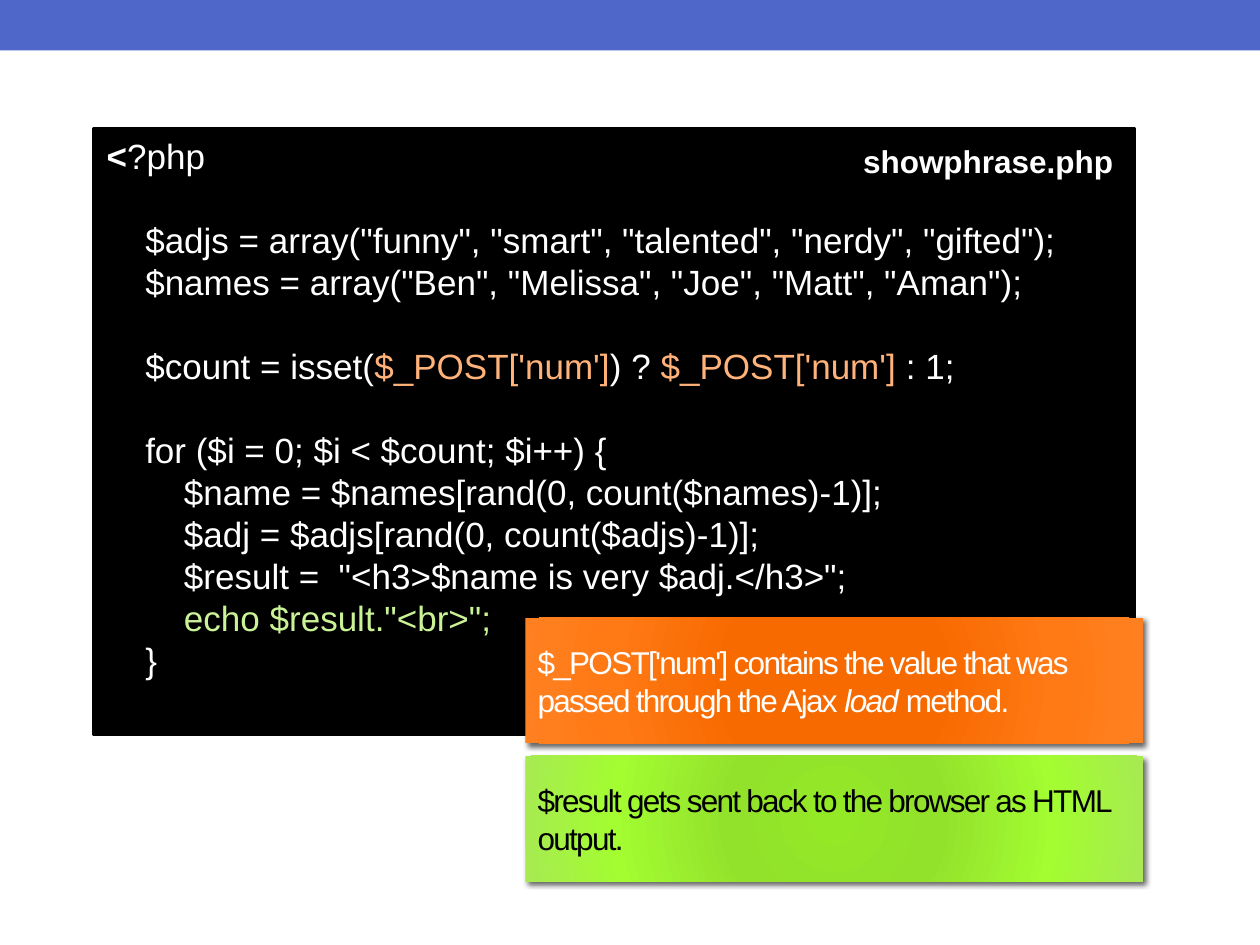
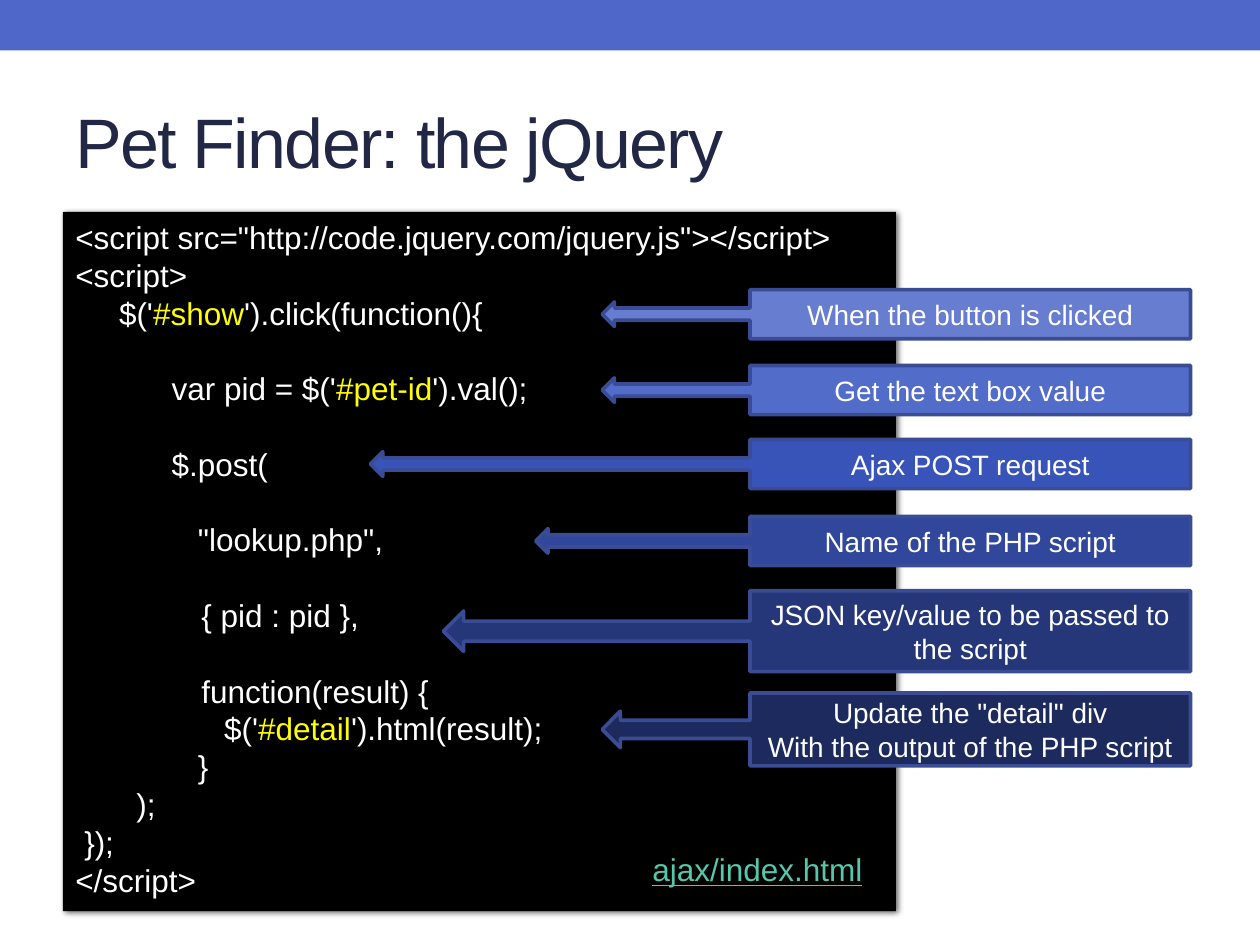
import pptx
import pptx.util
import pptx.dml.color
import pptx.enum.shapes
import pptx.enum.text
import pptx.oxml
import pptx.oxml.ns
from dataclasses import dataclass

Cm, Pt = pptx.util.Cm, pptx.util.Pt
RGB = pptx.dml.color.RGBColor.from_string
ALIGN = pptx.enum.text.PP_ALIGN
ANCHOR = pptx.enum.text.MSO_ANCHOR
SHAPE = pptx.enum.shapes.MSO_SHAPE
NS = pptx.oxml.ns.nsdecls("a")


@dataclass(frozen=True)
class Theme:
    font: str = "Arial"
    band: str = "4E67C8"
    title: str = "212745"
    black: str = "000000"
    white: str = "FFFFFF"
    post: str = "FFB37A"
    echo: str = "CAF297"
    selector: str = "FFFF00"
    link: str = "56C7AA"
    callout_line: str = "3A4C94"
    orange: tuple = ("F76A00", "F76A00", "FF7914", "FF8021")
    green: tuple = ("93E926", "92E22C", "A3FD31", "A7EA52")
    title_size: int = 40
    large_code: int = 20
    body: int = 18
    callout: int = 16
    code_pitch: float = 1.2
    border: float = 2.08


THEME = Theme()


def write(frame, lines, size, color=THEME.white, pitch=None, align=ALIGN.LEFT, tracking=0):
    """Fill a frame with (indent in cm, blank lines above, runs); a run is (text, font settings)."""
    frame.word_wrap = True
    for number, (indent, blanks, runs) in enumerate(lines):
        paragraph = frame.paragraphs[0] if number == 0 else frame.add_paragraph()
        paragraph.alignment = align
        if pitch:
            paragraph.line_spacing = Pt(size * pitch)
            paragraph.space_before = Pt(blanks * size * pitch)
        if indent:
            properties = paragraph._p.get_or_add_pPr()
            properties.set("marL", str(Cm(indent)))
            properties.set("indent", "0")
        for text, settings in runs:
            run = paragraph.add_run()
            run.text = text
            font = run.font
            font.name, font.size = THEME.font, Pt(size)
            font.color.rgb = RGB(settings.get("color", color))
            font.bold = settings.get("bold", False)
            font.italic = settings.get("italic", False)
            font.underline = settings.get("underline", False)
            if tracking:
                run._r.get_or_add_rPr().set("spc", str(tracking * 100))


def add_block(shapes, kind, left, top, width, height, fill, line=None, shadow=False):
    """Add a filled shape, placed in cm; a tuple of four colours gives a radial gradient."""
    block = shapes.add_shape(kind, Cm(left), Cm(top), Cm(width), Cm(height))
    block.shadow.inherit = False
    block.fill.solid()
    properties = block._element.spPr
    if isinstance(fill, tuple):
        stops = "".join(
            f'<a:gs pos="{place * 1000}"><a:srgbClr val="{tone}"/></a:gs>'
            for place, tone in zip((0, 34, 70, 100), fill))
        gradient = pptx.oxml.parse_xml(
            f'<a:gradFill {NS} rotWithShape="1"><a:gsLst>{stops}</a:gsLst><a:path path="circle">'
            '<a:fillToRect l="100000" t="100000" r="100000" b="100000"/></a:path></a:gradFill>')
        properties.replace(properties.find(pptx.oxml.ns.qn("a:solidFill")), gradient)
    else:
        block.fill.fore_color.rgb = RGB(fill)
    if line:
        block.line.color.rgb = RGB(line)
        block.line.width = Pt(THEME.border)
    else:
        block.line.fill.background()
    if shadow:
        properties.find(pptx.oxml.ns.qn("a:effectLst")).append(pptx.oxml.parse_xml(
            f'<a:outerShdw {NS} blurRad="{Pt(3)}" dist="{Pt(2)}" dir="2700000" rotWithShape="0">'
            '<a:srgbClr val="000000"><a:alpha val="60000"/></a:srgbClr></a:outerShdw>'))
    block.text_frame.vertical_anchor = ANCHOR.MIDDLE
    return block


prs = pptx.Presentation()
prs.slide_width, prs.slide_height = Cm(25.4), Cm(19.05)
php_slide = prs.slides.add_slide(prs.slide_layouts[6])
jquery_slide = prs.slides.add_slide(prs.slide_layouts[5])

# The top band belongs to the master, behind everything else
band = add_block(php_slide.shapes, SHAPE.RECTANGLE, 0, 0, 25.4, 1.02, THEME.band)
band._element.nvSpPr.cNvPr.set("id", "20")
prs.slide_master.shapes.element.insert(2, band._element)

# Slide 1: the PHP script
post = {"color": THEME.post}
STEP = 0.78
php_lines = [
    (0, 0, [("<", {"bold": True}), ("?php", {})]),
    (STEP, 1, [('$adjs = array("funny", "smart", "talented", "nerdy", "gifted");', {})]),
    (STEP, 0, [('$names = array("Ben", "Melissa", "Joe", "Matt", "Aman");', {})]),
    (STEP, 1, [("$count = isset(", {}), ("$_POST['num']", post), (") ? ", {}),
               ("$_POST['num'] ", post), (": 1;", {})]),
    (STEP, 1, [("for ($i = 0; $i < $count; $i++) {", {})]),
    (2 * STEP, 0, [("$name = $names[rand(0, count($names)-1)];", {})]),
    (2 * STEP, 0, [("$adj = $adjs[rand(0, count($adjs)-1)];", {})]),
    (2 * STEP, 0, [('$result =  "<h3>$name is very $adj.</h3>";', {})]),
    (2 * STEP, 0, [('echo $result."<br>";', {"color": THEME.echo})]),
    (STEP, 0, [("}", {})]),
]
php_code = add_block(php_slide.shapes, SHAPE.RECTANGLE, 1.9, 2.59, 20.96, 12.22,
                     THEME.black, THEME.black)
php_code.text_frame.vertical_anchor = ANCHOR.TOP
write(php_code.text_frame, php_lines, THEME.large_code, pitch=THEME.code_pitch)

file_name = php_slide.shapes.add_textbox(Cm(17.15), Cm(2.74), Cm(5.61), Cm(1.02))
write(file_name.text_frame, [(0, 0, [("showphrase.php", {"bold": True})])], THEME.body)
file_name.text_frame.word_wrap = False

remarks = [
    (15.24, THEME.green, THEME.black,
     [("$result gets sent back to the browser as HTML output.", {})]),
    (12.45, THEME.orange, THEME.white,
     [("$_POST['num'] contains the value that was passed through the Ajax ", {}),
      ("load", {"italic": True}), (" method.", {})]),
]
for top, gradient, ink, runs in remarks:
    remark = add_block(php_slide.shapes, SHAPE.RECTANGLE, 10.59, top, 12.45, 2.54,
                       gradient, shadow=True)
    write(remark.text_frame, [(0, 0, runs)], THEME.body, ink, tracking=-1)

# Slide 2: the jQuery script
heading = jquery_slide.shapes.title
heading.left, heading.top, heading.width, heading.height = Cm(1.27), Cm(1.47), Cm(22.86), Cm(2.74)
heading.text_frame.vertical_anchor = ANCHOR.MIDDLE
write(heading.text_frame, [(0, 0, [("Pet Finder: the jQuery", {})])],
      THEME.title_size, THEME.title, tracking=-1)

selector = {"color": THEME.selector}
jquery_lines = [
    (0, 0, [('<script src="http://code.jquery.com/jquery.js"></script>', {})]),
    (0, 0, [("<script>", {})]),
    (0.88, 0, [("$('", {}), ("#show", selector), ("').click(function(){", {})]),
    (1.94, 1, [("var pid = $('", {}), ("#pet-id", selector), ("').val();", {})]),
    (1.94, 1, [("$.post(", {})]),
    (2.47, 1, [('"lookup.php",', {})]),
    (2.54, 1, [("{ pid : pid },", {})]),
    (2.54, 1, [("function(result) {", {})]),
    (3, 0, [("$('", {}), ("#detail", selector), ("').html(result);", {})]),
    (2.47, 0, [("}", {})]),
    (1.23, 0, [(");", {})]),
    (0.18, 0, [("});", {})]),
    (0, 0, [("</script>", {})]),
]
jquery_code = add_block(jquery_slide.shapes, SHAPE.RECTANGLE, 1.27, 4.27, 16.79, 14.1,
                        THEME.black, shadow=True)
jquery_code.text_frame.vertical_anchor = ANCHOR.TOP
write(jquery_code.text_frame, jquery_lines, THEME.body, pitch=THEME.code_pitch)

# Each callout: arrow tip, top, height, fill, lines; the label boxes share both edges
LABEL_RIGHT, LABEL_WIDTH = 24, 8.88
callouts = [
    (12.14, 5.84, 0.99, "667DD0", ["When the button is clicked"]),
    (12.14, 7.37, 0.99, "526CCA", ["Get the text box value"]),
    (7.47, 8.86, 0.99, "3954B9", ["Ajax POST request"]),
    (10.8, 10.41, 0.99, "30479C", ["Name of the PHP script"]),
    (8.94, 11.91, 1.63, "253779", ["JSON key/value to be passed to the script"]),
    (12.14, 13.97, 1.47, "1C2A5E",
     ['Update the "detail" div', "With the output of the PHP script"]),
]
for tip, top, height, fill, labels in callouts:
    width = LABEL_RIGHT - tip
    callout = add_block(jquery_slide.shapes, SHAPE.LEFT_ARROW_CALLOUT, tip, top, width, height,
                        fill, THEME.callout_line)
    for index, share in enumerate((0.25, 0.25, 0.25, LABEL_WIDTH / width)):
        callout.adjustments[index] = share
    write(callout.text_frame, [(0, 0, [(label, {})]) for label in labels],
          THEME.callout, align=ALIGN.CENTER)

page_link = jquery_slide.shapes.add_textbox(Cm(12.9), Cm(17.02), Cm(4.78), Cm(1.02))
write(page_link.text_frame, [(0, 0, [("ajax/index.html", {"underline": True})])],
      THEME.body, THEME.link)
page_link.text_frame.word_wrap = False

prs.save("out.pptx")
